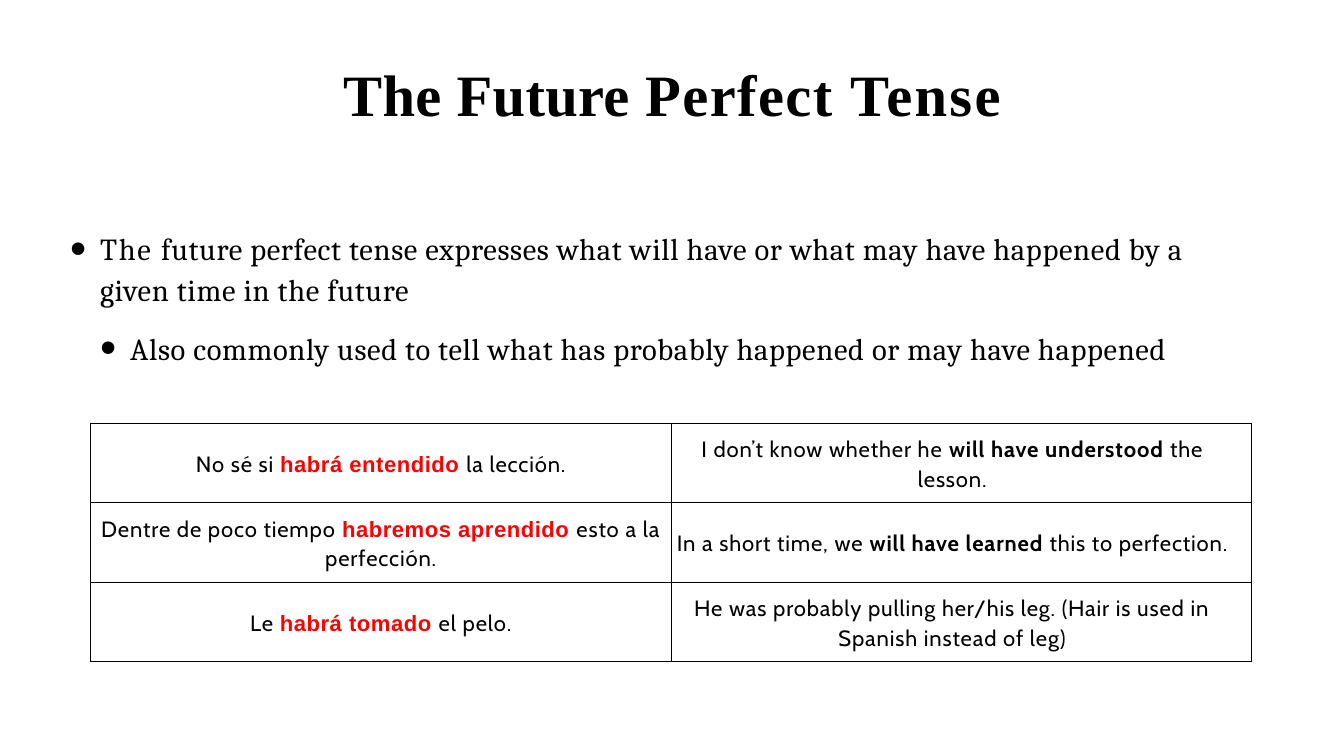
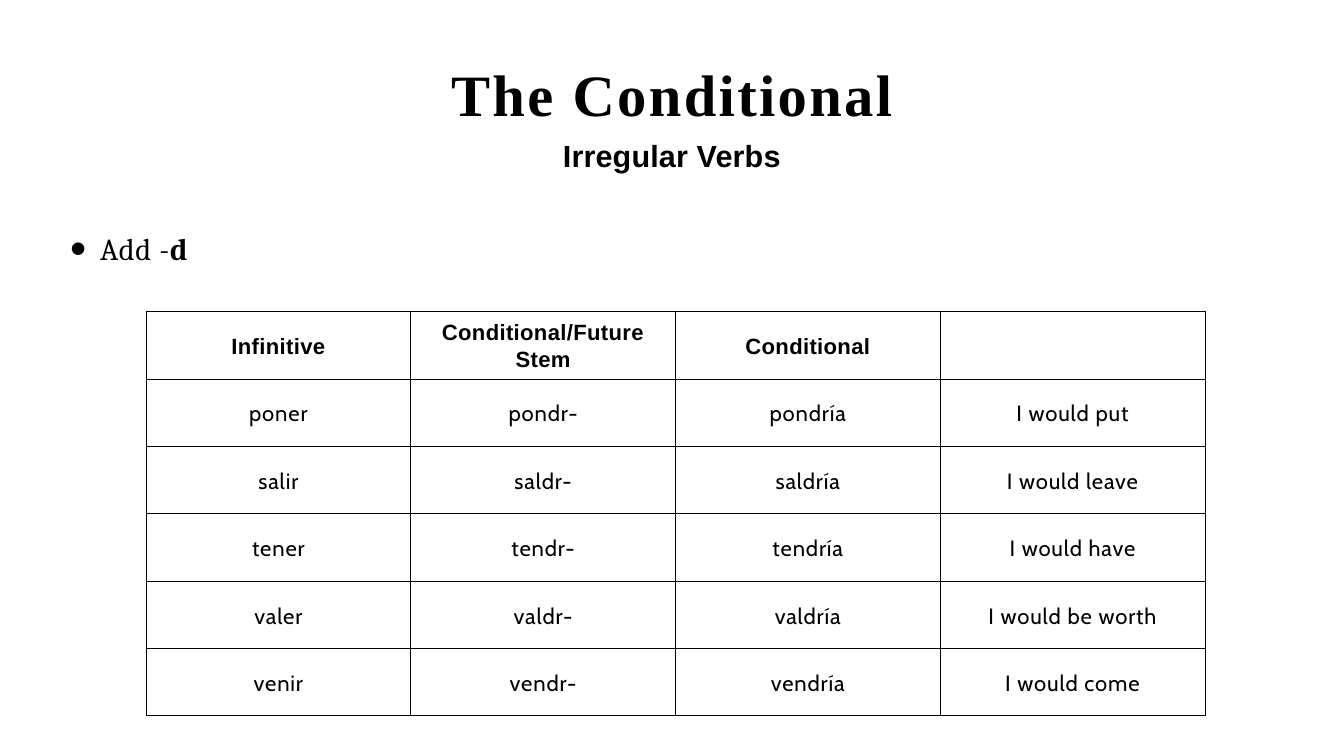
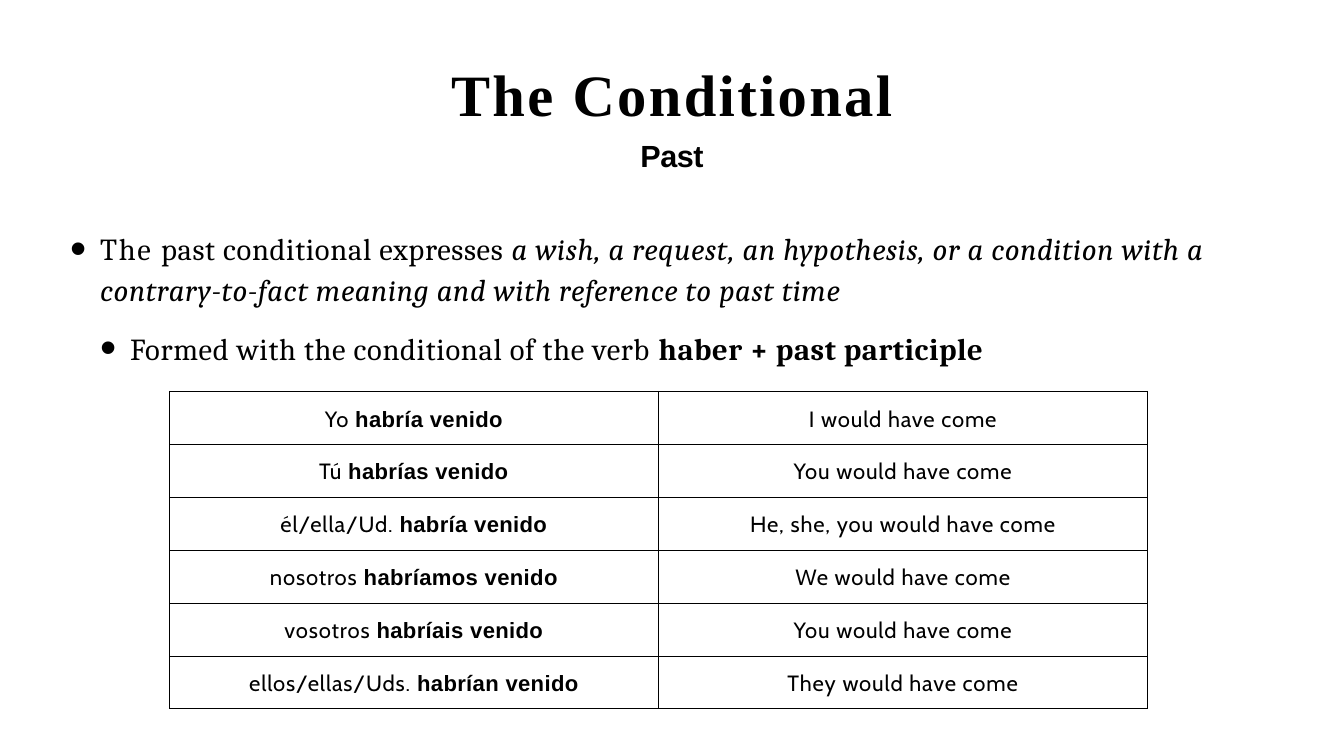
from lxml.etree import SubElement
from pptx import Presentation
from pptx.dml.color import RGBColor
from pptx.enum.text import MSO_ANCHOR, MSO_AUTO_SIZE, PP_ALIGN
from pptx.oxml.ns import qn
from pptx.util import Cm, Pt

BLACK, RED = "000000", "FF0000"
SLIDE_WIDTH, SLIDE_HEIGHT = 55.85, 31.42


def color(value):
    return RGBColor.from_string(value)


def style(name, size, spacing, hue=BLACK, bold=False, italic=False):
    font = {"name": name, "size": Pt(size), "bold": bold, "italic": italic}
    return {"font": font, "hue": hue, "spacing": spacing}


def apply(target, values):
    for name, value in values.items():
        setattr(target, name, value)


class Deck:
    STYLES = {
        "title": style("Times New Roman", 69, 2.8, bold=True),
        "subtitle": style("Arial", 36, 0.2, bold=True),
        "body": style("Cambria", 36, 0.8),
        "body italic": style("Cambria", 36, 0.8, italic=True),
        "body bold": style("Cambria", 36, 0.7, bold=True),
        "cell": style("Cabin", 26, 1),
        "cell bold": style("Cabin", 26, 1, bold=True),
        "head": style("Arial", 26, 0.4, bold=True),
        "key": style("Arial", 26, 0.6, hue=RED, bold=True),
    }
    MARGINS = {"margin_left": 0, "margin_top": 0, "margin_right": 0, "margin_bottom": 0}
    FRAME = {**MARGINS, "word_wrap": True, "auto_size": MSO_AUTO_SIZE.NONE,
             "vertical_anchor": MSO_ANCHOR.TOP}
    CELL = {**MARGINS, "vertical_anchor": MSO_ANCHOR.MIDDLE}

    def __init__(self):
        self.deck = Presentation()
        apply(self.deck, {"slide_width": Cm(SLIDE_WIDTH), "slide_height": Cm(SLIDE_HEIGHT)})
        self.page = None

    def new_page(self):
        self.page = self.deck.slides.add_slide(self.deck.slide_layouts[1])

    def add_span(self, paragraph, text, name, spacing=None):
        """A newline in the text breaks the line."""
        look = self.STYLES[name]
        points = look["spacing"] if spacing is None else spacing
        for index, line in enumerate(text.split("\n")):
            if index:
                paragraph.add_line_break()
            span = paragraph.add_run()
            span.text = line
            apply(span.font, look["font"])
            span.font.color.rgb = color(look["hue"])
            span.font._element.set("spc", str(round(points * 100)))

    def add_spans(self, paragraph, spans, default):
        """Spans are plain strings or (text, style, spacing) tuples."""
        for item in [spans] if isinstance(spans, str) else spans:
            self.add_span(paragraph, *((item, default) if isinstance(item, str) else item))

    def place(self, box, left, top, width, height):
        apply(box, {"left": Cm(left), "top": Cm(top), "width": Cm(width), "height": Cm(height)})
        apply(box.text_frame, self.FRAME)
        return box.text_frame

    def title(self, heading, subtitle=None):
        width = 39.6
        frame = self.place(self.page.shapes.title, (SLIDE_WIDTH - width) / 2, 2.39,
                           width, 4.9 if subtitle else 3)
        first = frame.paragraphs[0]
        first.alignment = PP_ALIGN.CENTER
        self.add_spans(first, heading, "title")
        if subtitle:
            second = frame.add_paragraph()
            apply(second, {"alignment": PP_ALIGN.CENTER, "space_before": Pt(10.9)})
            self.add_spans(second, subtitle, "subtitle")

    def bullets(self, items, width=48.26, height=6.1):
        """Each item sits one level deeper than the one before."""
        frame = self.place(self.page.placeholders[1], 2.87, 9.35, width, height)
        for level, spans in enumerate(items):
            paragraph = frame.add_paragraph() if level else frame.paragraphs[0]
            properties = paragraph._p.get_or_add_pPr()
            properties.set("marL", str(Cm(1.29 + 1.25 * level)))
            properties.set("indent", str(-Cm(1.25)))
            SubElement(properties, qn("a:buSzPct"), val="151000")
            SubElement(properties, qn("a:buChar"), char="•")
            apply(paragraph, {"level": level, "line_spacing": 1.13,
                              "space_before": Pt(20 if level else 0)})
            self.add_spans(paragraph, spans, "body")

    def border(self, cell):
        properties = cell._tc.get_or_add_tcPr()
        for side in ("a:lnL", "a:lnR", "a:lnT", "a:lnB"):
            line = SubElement(properties, qn(side), w=str(Pt(1)))
            SubElement(SubElement(line, qn("a:solidFill")), qn("a:srgbClr"), val=BLACK)

    def table(self, rows, left, top, column, row_height, header=False, last_margin=0):
        count = len(rows[0])
        table = self.page.shapes.add_table(
            len(rows), count, Cm(left), Cm(top),
            Cm(column * count), Cm(row_height * len(rows))).table
        apply(table, {"first_row": False, "horz_banding": False})
        for row_index, values in enumerate(rows):
            default = "head" if header and row_index == 0 else "cell"
            for column_index, spans in enumerate(values):
                cell = table.cell(row_index, column_index)
                self.border(cell)
                cell.fill.background()
                apply(cell, self.CELL)
                if column_index == count - 1:
                    cell.margin_right = Cm(last_margin)
                paragraph = cell.text_frame.paragraphs[0]
                apply(paragraph, {"alignment": PP_ALIGN.CENTER, "line_spacing": 1.11})
                if spans:
                    self.add_spans(paragraph, spans, default)


# Slide 1: future perfect
def future_perfect(show):
    show.new_page()
    show.title([("The Future ", "title", 0.4), ("Perfect ", "title", 1.7), "Tense"])
    show.bullets([
        [("The ", "body", 2), "future perfect tense expresses what will have or what may "
         "have happened by a given time in the future"],
        "Also commonly used to tell what has probably happened or may have happened",
    ])
    show.table([
        [["No sé si ", ("habrá entendido ", "key"), "la lección."],
         ["I don’t know whether he ", ("will have understood ", "cell bold"), "the\nlesson."]],
        [["Dentre de poco tiempo ", ("habremos aprendido ", "key"), "esto a la\nperfección."],
         ["In a short time, we ", ("will have learned ", "cell bold"), "this to perfection."]],
        [["Le ", ("habrá tomado ", "key"), "el pelo."],
         "He was probably pulling her/his leg. (Hair is used in\nSpanish instead of leg)"],
    ], 3.76, 17.6, 24.13, 3.3, last_margin=0.76)


# Slide 2: irregular stems
def irregular_conditional(show):
    verbs = [("poner", "pondr", "put"), ("salir", "saldr", "leave"), ("tener", "tendr", "have"),
             ("valer", "valdr", "be worth"), ("venir", "vendr", "come")]
    show.new_page()
    show.title("The Conditional", "Irregular Verbs")
    show.bullets([["Add -", ("d", "body bold")]], width=5.33, height=1.8)
    show.table(
        [["Infinitive", "Conditional/Future\nStem", "Conditional", ""]]
        + [[verb, f"{stem}-", f"{stem}ía", f"I would {meaning}"] for verb, stem, meaning in verbs],
        6.07, 12.95, 11, 2.8, header=True)


# Slide 3: past conditional
def past_conditional(show):
    forms = [("Yo", "habría", "I"), ("Tú", "habrías", "You"),
             ("él/ella/Ud.", "habría", "He, she, you"), ("nosotros", "habríamos", "We"),
             ("vosotros", "habríais", "You"), ("ellos/ellas/Uds.", "habrían", "They")]
    show.new_page()
    show.title("The Conditional", [("Past", "subtitle", -0.5)])
    show.bullets([
        [("The ", "body", 2), "past conditional expresses ",
         ("a wish, a request, an hypothesis, or a condition with a contrary-to-fact "
          "meaning and with reference to past time", "body italic")],
        ["Formed with the conditional of the verb ",
         ("haber + past participle", "body bold")],
    ])
    show.table(
        [[[f"{pronoun} ", (f"{verb} venido", "head")], f"{subject} would have come"]
         for pronoun, verb, subject in forms],
        7.04, 16.26, 20.32, 2.2)


def main():
    show = Deck()
    for build in (future_perfect, irregular_conditional, past_conditional):
        build(show)
    show.deck.save("out.pptx")


if __name__ == "__main__":
    main()
